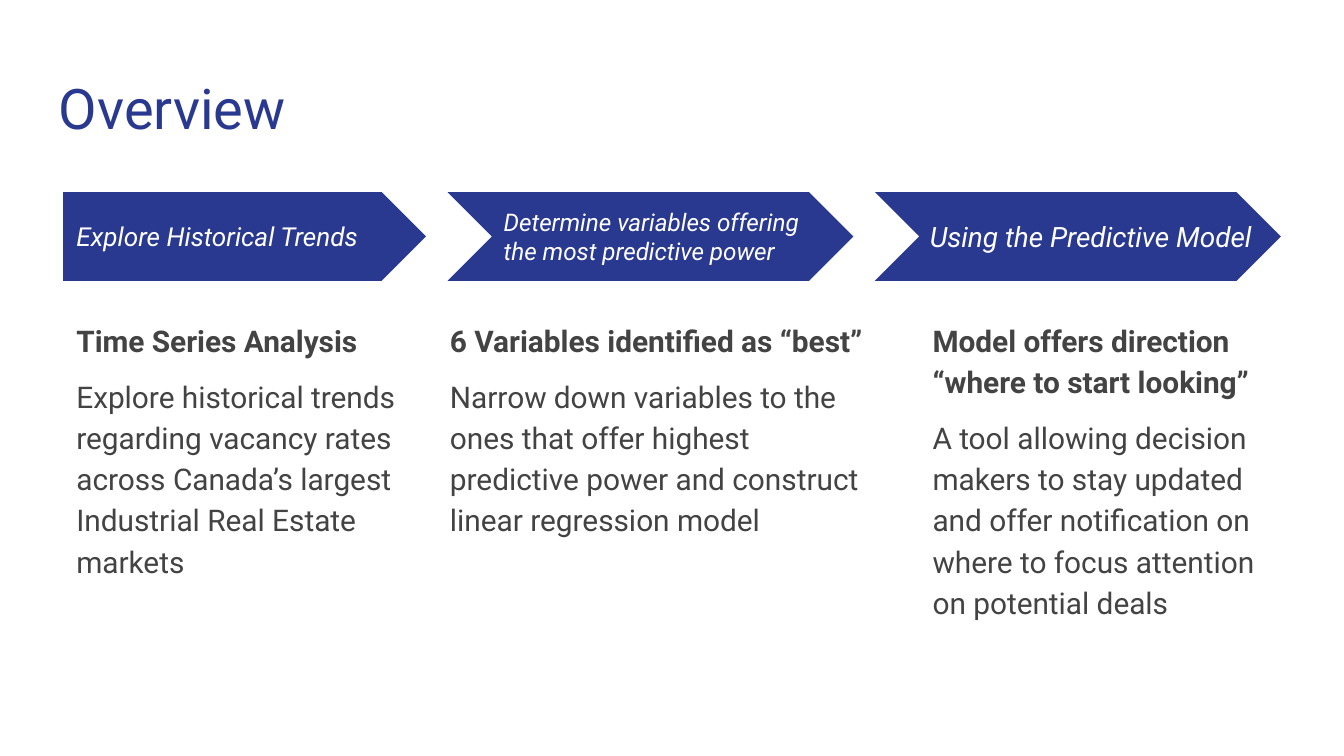
from pptx import Presentation
from pptx.dml.color import RGBColor
from pptx.enum.shapes import MSO_SHAPE as Shape
from pptx.enum.text import MSO_ANCHOR as Anchor
from pptx.util import Inches, Pt

FONT = "Roboto"
COLORS = {"background": "FFFFFF", "navy": "2A3990", "label": "FFFFFF", "body": "434343"}

TITLE = "Overview"
# Places are (left, width) in inches
STEPS = [
    {"label": "Explore Historical Trends", "label_size": 14,
     "heading": "Time Series Analysis",
     "detail": "Explore historical trends regarding vacancy rates across "
               "Canada’s largest Industrial Real Estate markets",
     "arrow": Shape.PENTAGON, "arrow_at": (0.47, 2.7),
     "label_at": (0.47, 2.47), "body_at": (0.47, 2.7)},
    {"label": "Determine variables offering the most predictive power", "label_size": 13,
     "heading": "6 Variables identified as “best”",
     "detail": "Narrow down variables to the ones that offer highest "
               "predictive power and construct linear regression model",
     "arrow": Shape.CHEVRON, "arrow_at": (3.33, 3.02),
     "label_at": (3.65, 2.47), "body_at": (3.25, 3.34)},
    {"label": "Using the Predictive Model", "label_size": 15,
     "heading": "Model offers direction “where to start looking”",
     "detail": "A tool allowing decision makers to stay updated and offer "
               "notification on where to focus attention on potential deals",
     "arrow": Shape.CHEVRON, "arrow_at": (6.51, 3.02),
     "label_at": (6.82, 3.34), "body_at": (6.84, 2.82)},
]

# Rows are (top, height) in inches
TITLE_ROW = (0.45, 0.66)
ARROW_ROW = (1.43, 0.66)
LABEL_ROW = (1.59, 0.34)
BODY_ROW = (2.26, 2.9)


def rgb(name):
    return RGBColor.from_string(COLORS[name])


def place(column, row):
    (left, width), (top, height) = column, row
    return [Inches(value) for value in (left, top, width, height)]


def add_frame(slide, column, row, anchor=Anchor.TOP):
    frame = slide.shapes.add_textbox(*place(column, row)).text_frame
    frame.word_wrap = True
    frame.vertical_anchor = anchor
    frame.margin_left = frame.margin_right = Inches(0.1)
    frame.margin_top = frame.margin_bottom = Inches(0.1)
    return frame


def write(paragraph, text, size, color, bold=False, italic=False):
    paragraph.text = text
    font = paragraph.font
    font.name, font.size = FONT, Pt(size)
    font.bold, font.italic = bold, italic
    font.color.rgb = rgb(color)


def add_step(slide, step):
    # Arrow
    arrow = slide.shapes.add_shape(step["arrow"], *place(step["arrow_at"], ARROW_ROW))
    arrow.shadow.inherit = False
    arrow.fill.solid()
    arrow.fill.fore_color.rgb = rgb("navy")
    arrow.line.fill.background()

    # Label over the arrow
    label = add_frame(slide, step["label_at"], LABEL_ROW, Anchor.MIDDLE)
    write(label.paragraphs[0], step["label"], step["label_size"], "label", italic=True)

    # Heading and detail below
    body = add_frame(slide, step["body_at"], BODY_ROW)
    heading, detail = body.paragraphs[0], body.add_paragraph()
    write(heading, step["heading"], 16, "body", bold=True)
    write(detail, step["detail"], 16, "body")
    heading.line_spacing = detail.line_spacing = 1.15
    detail.space_before = Pt(8)


def main():
    prs = Presentation()
    # Widescreen, 16:9
    prs.slide_width = Inches(10)
    prs.slide_height = prs.slide_width * 9 // 16
    slide = prs.slides.add_slide(prs.slide_layouts[6])
    slide.background.fill.solid()
    slide.background.fill.fore_color.rgb = rgb("background")

    title = add_frame(slide, (0.34, 9.32), TITLE_ROW)
    write(title.paragraphs[0], TITLE, 30, "navy")

    for step in STEPS:
        add_step(slide, step)
    prs.save("out.pptx")


if __name__ == "__main__":
    main()
